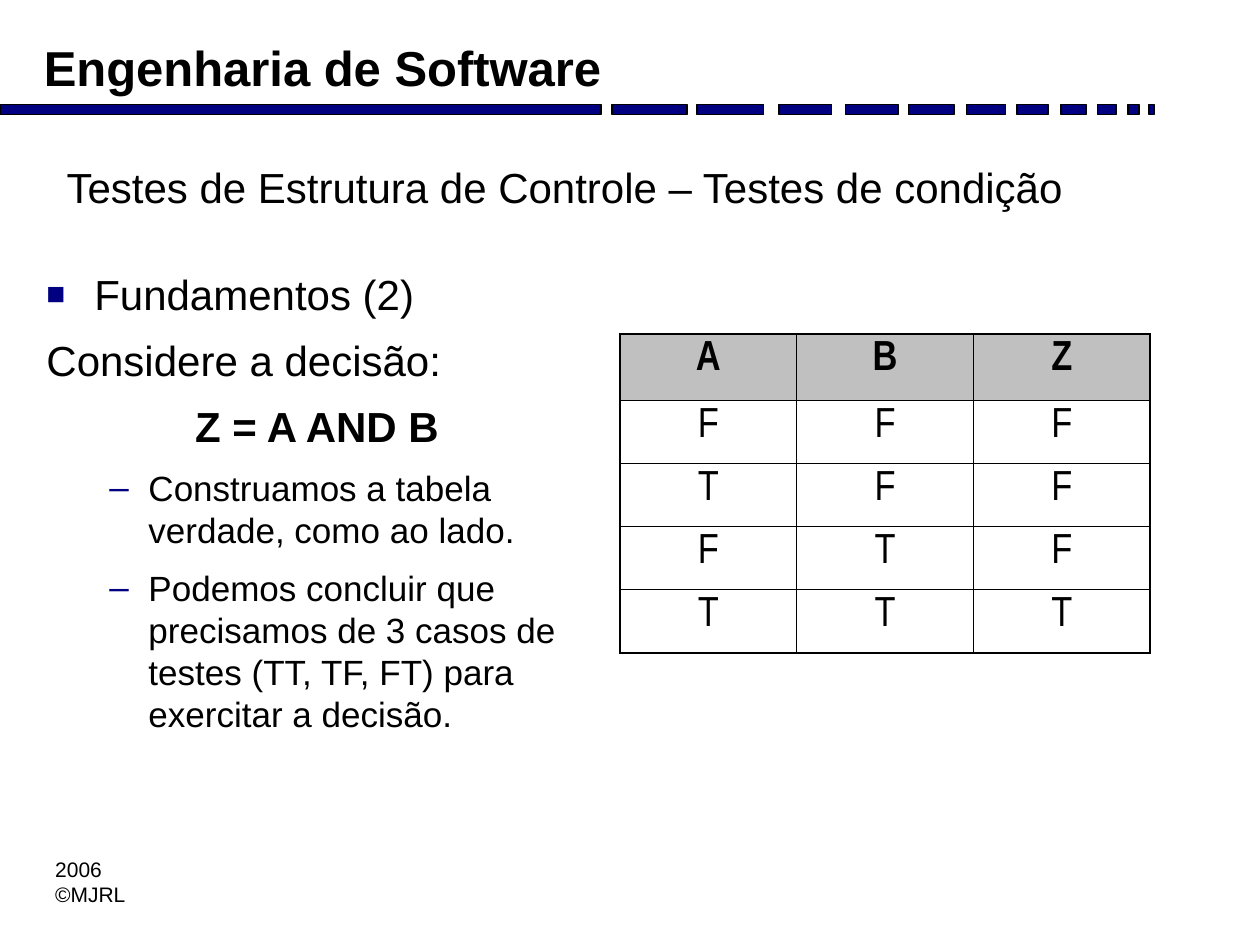
"""Build the slide on condition testing with its truth table."""
from dataclasses import dataclass
from typing import Optional

from lxml.etree import SubElement
from pptx import Presentation
from pptx.dml.color import RGBColor
from pptx.enum.shapes import MSO_SHAPE
from pptx.enum.text import MSO_ANCHOR, PP_ALIGN
from pptx.oxml.ns import qn
from pptx.util import Inches, Pt


@dataclass(frozen=True)
class Theme:
    ink: RGBColor = RGBColor(0, 0, 0)
    navy: RGBColor = RGBColor(0, 0, 0x80)
    header: RGBColor = RGBColor(0xC0, 0xC0, 0xC0)
    font: str = "Arial"
    table_font: str = "Arial Narrow"
    course: float = 28
    main: float = 24
    detail: float = 20
    footer: float = 12
    outer_line: float = 1.08
    inner_line: float = 0.45


@dataclass(frozen=True)
class Line:
    text: str
    size: float
    bold: bool = False
    align: PP_ALIGN = PP_ALIGN.LEFT
    level: int = 0
    margin: float = 0
    hanging: float = 0
    bullet: str = ""
    bullet_percent: int = 100
    before: float = 0
    after: float = 0


@dataclass(frozen=True)
class TextBlock:
    left: float
    top: float
    width: float
    height: float
    lines: tuple[Line, ...]
    wrap: bool = True


THEME = Theme()
BODY = dict(before=6, after=3)
MAIN = dict(size=THEME.main, margin=0.38, hanging=0.38, **BODY)
DETAIL = dict(size=THEME.detail, level=1, margin=0.81, hanging=0.31, bullet="–", **BODY)

BLOCKS = (
    TextBlock(0.25, 0.25, 4.83, 0.56,
              (Line("Engenharia de Software", THEME.course, bold=True),)),
    TextBlock(0.34, 6.75, 0.76, 0.5,
              (Line("2006", THEME.footer), Line("©MJRL", THEME.footer)), wrap=False),
    TextBlock(0.43, 1.23, 9, 0.71,
              (Line("Testes de Estrutura de Controle – Testes de condição", THEME.main),)),
    TextBlock(0.27, 2.08, 4.49, 4.58, (
        Line("Fundamentos (2)", bullet="■", bullet_percent=75, **{**MAIN, "before": 0}),
        Line("Considere a decisão:", **MAIN),
        Line("Z = A AND B", bold=True, align=PP_ALIGN.CENTER, **MAIN),
        Line("Construamos a tabela verdade, como ao lado.", **DETAIL),
        Line("Podemos concluir que precisamos de 3 casos de testes (TT, TF, FT) "
             "para exercitar a decisão.", **DETAIL),
    )),
)

DASHES = ((0, 4.77), (4.86, 0.59), (5.53, 0.53), (6.18, 0.42), (6.71, 0.42), (7.21, 0.36),
          (7.67, 0.31), (8.07, 0.25), (8.42, 0.2), (8.71, 0.15), (8.95, 0.09), (9.12, 0.04))
TRUTH_TABLE = ("ABZ", "FFF", "TFF", "FTF", "TTT")


def add_dash(slide, left: float, width: float) -> None:
    dash = slide.shapes.add_shape(
        MSO_SHAPE.RECTANGLE, Inches(left), Inches(0.83), Inches(width), Inches(0.08))
    dash.shadow.inherit = False
    dash.fill.solid()
    dash.fill.fore_color.rgb = THEME.navy
    dash.line.color.rgb = THEME.ink
    dash.line.width = Pt(1)


def add_run(paragraph, text: str, size: float, bold: bool, font: str) -> None:
    run = paragraph.add_run()
    run.text = text
    run.font.name = font
    run.font.size = Pt(size)
    run.font.bold = bold
    run.font.color.rgb = THEME.ink


def set_bullet(paragraph, line: Line) -> None:
    properties = paragraph._p.get_or_add_pPr()
    properties.set("marL", str(Inches(line.margin)))
    properties.set("indent", str(-Inches(line.hanging)))
    if not line.bullet:
        SubElement(properties, qn("a:buNone"))
        return
    color = SubElement(properties, qn("a:buClr"))
    SubElement(color, qn("a:srgbClr"), val=str(THEME.navy))
    SubElement(properties, qn("a:buSzPct"), val=str(line.bullet_percent * 1000))
    SubElement(properties, qn("a:buFont"), typeface=THEME.font)
    SubElement(properties, qn("a:buChar"), char=line.bullet)


def add_text(slide, block: TextBlock) -> None:
    frame = slide.shapes.add_textbox(
        Inches(block.left), Inches(block.top),
        Inches(block.width), Inches(block.height)).text_frame
    frame.word_wrap = block.wrap
    for index, line in enumerate(block.lines):
        paragraph = frame.add_paragraph() if index else frame.paragraphs[0]
        set_bullet(paragraph, line)
        paragraph.level = line.level
        paragraph.alignment = line.align
        paragraph.space_before = Pt(line.before)
        paragraph.space_after = Pt(line.after)
        add_run(paragraph, line.text, line.size, line.bold, THEME.font)


def set_borders(cell, outer: dict[str, bool]) -> None:
    properties = cell._tc.get_or_add_tcPr()
    for side, is_outer in outer.items():
        width = Pt(THEME.outer_line if is_outer else THEME.inner_line)
        border = SubElement(properties, qn(f"a:ln{side}"), w=str(width))
        fill = SubElement(border, qn("a:solidFill"))
        SubElement(fill, qn("a:srgbClr"), val=str(THEME.ink))


def fill_cell(cell, color: Optional[RGBColor]) -> None:
    if color is None:
        cell.fill.background()
    else:
        cell.fill.solid()
        cell.fill.fore_color.rgb = color


def add_truth_table(slide, rows: tuple[str, ...]) -> None:
    last_row, last_column = len(rows) - 1, len(rows[0]) - 1
    table = slide.shapes.add_table(
        len(rows), len(rows[0]), Inches(4.92), Inches(2.65), Inches(4.21), Inches(2.54)).table
    table.horz_banding = False
    for row_index, values in enumerate(rows):
        is_header = row_index == 0
        table.rows[row_index].height = Inches(0.53 if is_header else 0.5)
        for column_index, value in enumerate(values):
            cell = table.cell(row_index, column_index)
            set_borders(cell, {"L": column_index == 0, "R": column_index == last_column,
                               "T": is_header, "B": row_index == last_row})
            fill_cell(cell, THEME.header if is_header else None)
            cell.vertical_anchor = MSO_ANCHOR.TOP
            paragraph = cell.text_frame.paragraphs[0]
            paragraph.alignment = PP_ALIGN.CENTER
            add_run(paragraph, value, THEME.main, is_header, THEME.table_font)


def main() -> None:
    presentation = Presentation()
    presentation.slide_width, presentation.slide_height = Inches(10), Inches(7.5)
    slide = presentation.slides.add_slide(presentation.slide_layouts[6])
    for left, width in DASHES:
        add_dash(slide, left, width)
    for block in BLOCKS:
        add_text(slide, block)
    add_truth_table(slide, TRUTH_TABLE)
    presentation.save("out.pptx")


if __name__ == "__main__":
    main()
